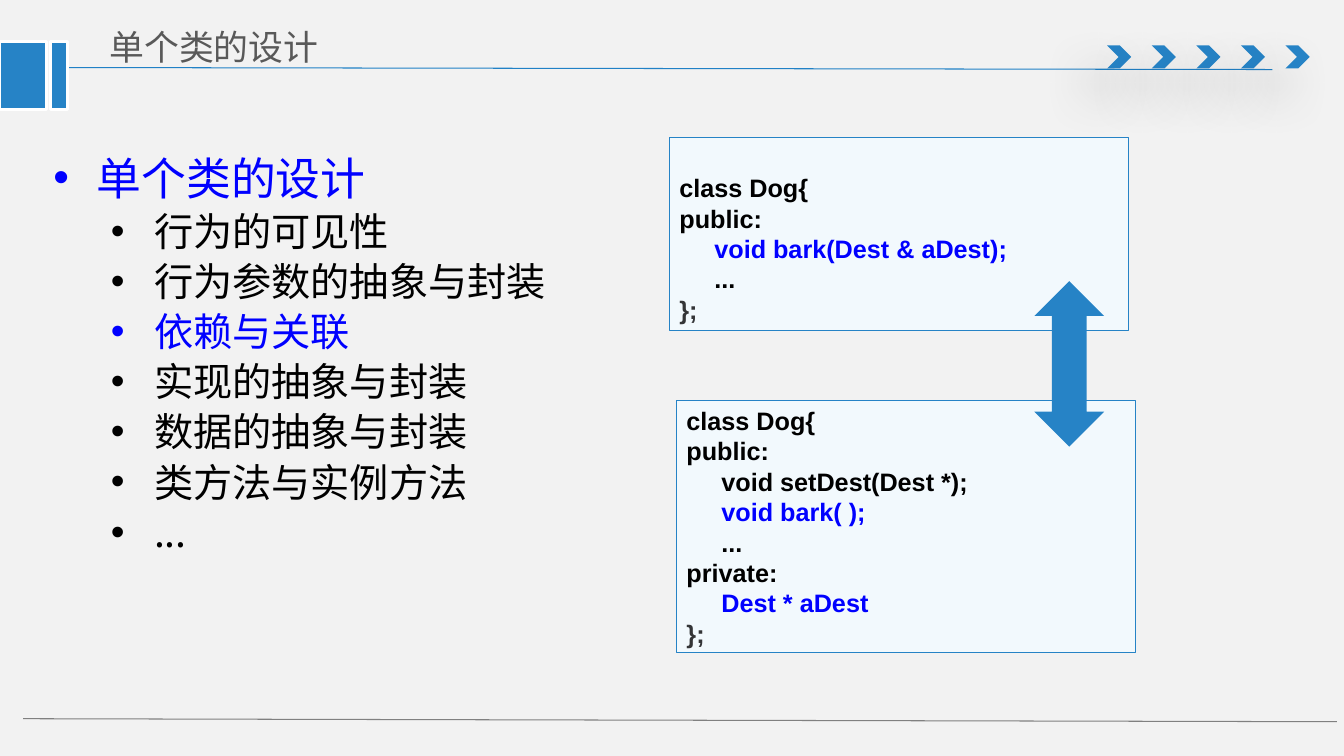
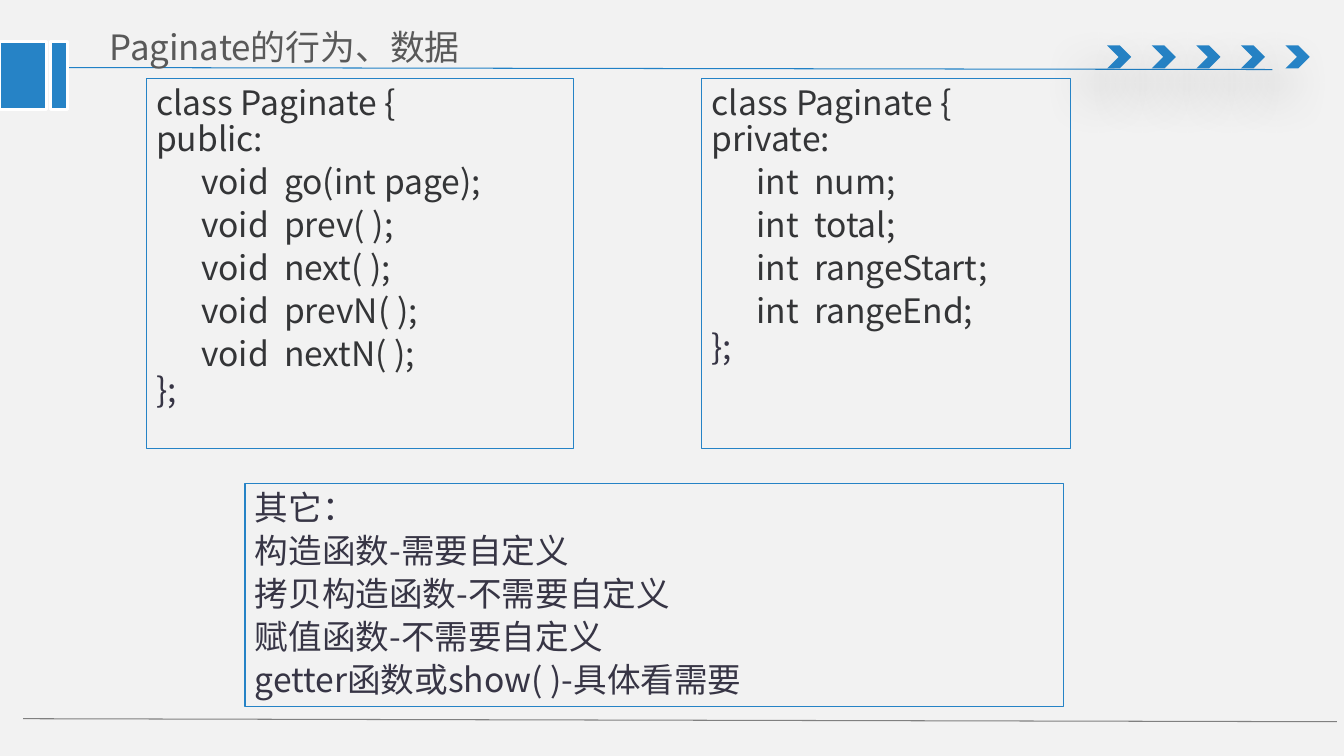
from dataclasses import dataclass

from lxml import etree
from pptx import Presentation
from pptx import util as u
from pptx.dml import color as c
from pptx.enum import shapes, text
from pptx.oxml import ns


@dataclass(frozen=True)
class Theme:
    background: str = "F2F2F2"
    accent: str = "2683C6"
    header_rule: str = "2181C6"
    footer_rule: str = "808080"
    white: str = "FFFFFF"
    code_fill: str = "F2F9FD"
    title: str = "595959"
    ink: str = "343537"
    body: str = "373545"
    black: str = "000000"
    highlight: str = "0000FF"
    main_font: str = "Noto Sans CJK SC"
    code_font: str = "Arial"
    title_size: float = 24.9
    topic_size: float = 32
    item_size: float = 28
    panel_size: float = 24
    code_size: float = 18


THEME = Theme()


@dataclass(frozen=True)
class Box:
    left: float
    top: float
    width: float
    height: float

    def lengths(self) -> list:
        return [u.Inches(n) for n in (self.left, self.top, self.width, self.height)]


@dataclass(frozen=True)
class Style:
    """Type settings; pitch is the exact line height in points."""
    font: str
    size: float
    pitch: float
    bold: bool = False


@dataclass(frozen=True)
class Line:
    text: str
    style: Style
    color: str
    gap: float = 0
    indent: float = 0  # inches to the text of a bulleted line; 0 means no bullet


TITLE = Style(THEME.main_font, THEME.title_size, 36)
TOPIC = Style(THEME.main_font, THEME.topic_size, 34.3)
ITEM = Style(THEME.main_font, THEME.item_size, 30.2)
PANEL = Style(THEME.main_font, THEME.panel_size, 25.8)
CODE = Style(THEME.code_font, THEME.code_size, 21.7, bold=True)
PANEL_GAP = 4.9
ITEM_GAP = 5.6
HANGING = 0.43


def rgb(value: str) -> c.RGBColor:
    return c.RGBColor.from_string(value)


def add_rule(slide, start: tuple, end: tuple, color: str) -> None:
    points = [u.Inches(n) for n in (*start, *end)]
    rule = slide.shapes.add_connector(shapes.MSO_CONNECTOR.STRAIGHT, *points)
    rule.line.color.rgb = rgb(color)
    rule.line.width = u.Pt(0.75)
    etree.SubElement(rule._element.spPr, ns.qn("a:effectLst"))


def add_figure(slide, kind, box: Box, fill: str = "", line: str = "", weight: float = 0.75):
    shape = slide.shapes.add_shape(kind, *box.lengths())
    shape.shadow.inherit = False
    if fill:
        shape.fill.solid()
        shape.fill.fore_color.rgb = rgb(fill)
    else:
        shape.fill.background()
    if line:
        shape.line.color.rgb = rgb(line)
        shape.line.width = u.Pt(weight)
    else:
        shape.line.fill.background()
    return shape


def add_soft_shadow(shape) -> None:
    effects = shape._element.spPr.find(ns.qn("a:effectLst"))
    shadow = etree.SubElement(effects, ns.qn("a:outerShdw"), blurRad=str(u.Pt(36)),
                              dist=str(u.Pt(24)), dir=str(130 * 60000))
    tint = etree.SubElement(shadow, ns.qn("a:srgbClr"), val=THEME.black)
    etree.SubElement(tint, ns.qn("a:alpha"), val="38000")


def add_bullet(paragraph, indent: float) -> None:
    properties = paragraph._p.get_or_add_pPr()
    properties.set("marL", str(u.Inches(indent)))
    properties.set("indent", str(u.Inches(-HANGING)))
    etree.SubElement(properties, ns.qn("a:buFont"), typeface=THEME.code_font)
    etree.SubElement(properties, ns.qn("a:buChar"), char="•")


def write(shape, lines: list[Line], top_inset: float = 0.05,
          anchor=text.MSO_ANCHOR.TOP) -> None:
    frame = shape.text_frame
    frame.word_wrap = True
    frame.vertical_anchor = anchor
    frame.margin_top = u.Inches(top_inset)
    frame.text = "\n".join(line.text for line in lines)
    for index, (paragraph, line) in enumerate(zip(frame.paragraphs, lines)):
        if line.indent:
            add_bullet(paragraph, line.indent)
        paragraph.alignment = text.PP_ALIGN.LEFT
        paragraph.line_spacing = u.Pt(line.style.pitch)
        paragraph.space_before = u.Pt(line.gap if index else 0)
        for run in paragraph.runs:
            run.font.name = line.style.font
            run.font.size = u.Pt(line.style.size)
            run.font.bold = line.style.bold
            run.font.color.rgb = rgb(line.color)
            etree.SubElement(run._r.get_or_add_rPr(), ns.qn("a:ea"), typeface=line.style.font)


def add_text(slide, box: Box, lines: list[Line], **layout) -> None:
    write(slide.shapes.add_textbox(*box.lengths()), lines, **layout)


def add_panel(slide, box: Box, lines: list[Line], top_inset: float, fill: str = "") -> None:
    panel = add_figure(slide, shapes.MSO_SHAPE.RECTANGLE, box, fill, THEME.accent)
    write(panel, lines, top_inset)


def new_slide(presentation, title: str):
    """Add a slide with the shared header, footer rule and title."""
    slide = presentation.slides.add_slide(presentation.slide_layouts[6])
    slide.background.fill.solid()
    slide.background.fill.fore_color.rgb = rgb(THEME.background)
    add_rule(slide, (0.53, 0.67), (12.62, 0.69), THEME.header_rule)
    for index in range(5):
        box = Box(10.98 + index * 0.4425, 0.45, 0.24, 0.23)
        add_soft_shadow(add_figure(slide, shapes.MSO_SHAPE.CHEVRON, box, THEME.accent))
    add_rule(slide, (0.23, 7.13), (13.26, 7.16), THEME.footer_rule)
    for left, width in ((0, 0.46), (0.5, 0.17)):
        add_figure(slide, shapes.MSO_SHAPE.RECTANGLE, Box(left, 0.41, width, 0.68),
                   THEME.accent, THEME.white, 2)
    add_text(slide, Box(0.99, 0.14, 4.63, 0.55), [Line(title, TITLE, THEME.title)],
             anchor=text.MSO_ANCHOR.MIDDLE)
    return slide


def code_lines(source: list[str], highlighted: tuple[str, ...]) -> list[Line]:
    def color(row: str) -> str:
        if row == "};":
            return THEME.ink
        return THEME.highlight if row.strip() in highlighted else THEME.black

    return [Line(row, CODE, color(row)) for row in source]


def class_lines(section: str, members: list[str]) -> list[Line]:
    return [
        Line("class Paginate {", PANEL, THEME.ink),
        Line(section, PANEL, THEME.ink),
        *(Line("      " + member, PANEL, THEME.ink, PANEL_GAP) for member in members),
        Line("};", PANEL, THEME.body),
    ]


def build_class_design(presentation) -> None:
    slide = new_slide(presentation, "单个类的设计")
    bark_with_target = code_lines(
        ["class Dog{", "public:", "     void bark(Dest & aDest);", "     ...", "};"],
        ("void bark(Dest & aDest);",))
    add_panel(slide, Box(6.64, 1.36, 4.55, 1.92), bark_with_target, 0.35, THEME.code_fill)

    current = "依赖与关联"
    items = ["行为的可见性", "行为参数的抽象与封装", current, "实现的抽象与封装",
             "数据的抽象与封装", "类方法与实例方法", "..."]
    outline = [Line("单个类的设计", TOPIC, THEME.highlight, indent=HANGING)]
    outline += [Line(item, ITEM, THEME.highlight if item == current else THEME.black,
                     ITEM_GAP, 1) for item in items]
    add_text(slide, Box(0.43, 1.45, 5.38, 5.36), outline, top_inset=0.1)

    stored_target = code_lines(
        ["class Dog{", "public:", "     void setDest(Dest *);", "     void bark( );",
         "     ...", "private:", "     Dest * aDest", "};"],
        ("void bark( );", "Dest * aDest"))
    add_panel(slide, Box(6.71, 3.97, 4.55, 2.5), stored_target, 0.05, THEME.code_fill)
    add_figure(slide, shapes.MSO_SHAPE.UP_DOWN_ARROW, Box(10.26, 2.79, 0.69, 1.64), THEME.accent)


def build_paginate(presentation) -> None:
    slide = new_slide(presentation, "Paginate的行为、数据")
    behaviour = class_lines("public:", [
        "void  go(int page);", "void  prev( );", "void  next( );",
        "void  prevN( );", "void  nextN( );"])
    data = class_lines("private:", [
        "int  num;", "int  total;", "int  rangeStart;", "int  rangeEnd;"])
    others = [Line(row, PANEL, THEME.body, PANEL_GAP) for row in (
        "其它：", "构造函数-需要自定义", "拷贝构造函数-不需要自定义",
        "赋值函数-不需要自定义", "getter函数或show( )-具体看需要")]
    for box, lines in (
        (Box(1.45, 0.78, 4.24, 3.67), behaviour),
        (Box(6.96, 0.78, 3.66, 3.67), data),
        (Box(2.43, 4.8, 8.12, 2.21), others),
    ):
        add_panel(slide, box, lines, 0.07)


def main() -> None:
    presentation = Presentation()
    presentation.slide_width = u.Inches(13.33)
    presentation.slide_height = u.Inches(7.5)
    build_class_design(presentation)
    build_paginate(presentation)
    presentation.save("out.pptx")


if __name__ == "__main__":
    main()
